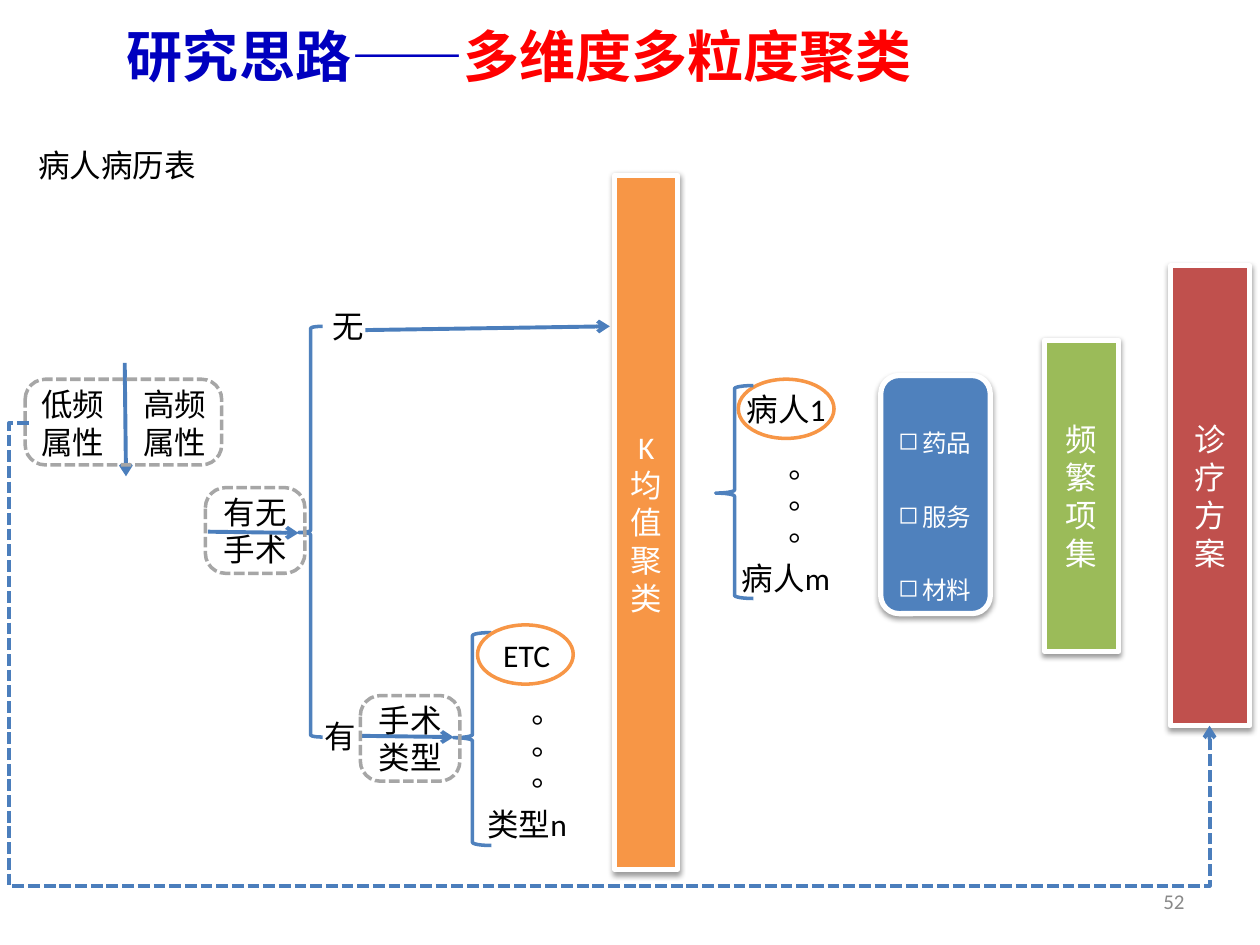
from pptx import Presentation
from pptx.dml.color import RGBColor
from pptx.enum.dml import MSO_LINE
from pptx.enum.shapes import MSO_CONNECTOR, MSO_SHAPE
from pptx.enum.text import MSO_ANCHOR, PP_ALIGN
from pptx.oxml import parse_xml
from pptx.oxml.ns import nsdecls, qn
from pptx.util import Emu, Pt

PX = 9144  # 100 px to the inch
COLORS = {
    "navy": "0000BF", "red": "FF0000", "black": "000000", "white": "FFFFFF",
    "number": "898989", "dash": "A6A6A6", "arrow": "4B7EBC", "blue": "4F81BD",
    "orange": "F79646", "green": "9BBB59", "brick": "C0504D",
}
LEFT, CENTER, RIGHT = PP_ALIGN.LEFT, PP_ALIGN.CENTER, PP_ALIGN.RIGHT
SHADOW = (
    '<a:outerShdw %s blurRad="39370" dist="20320" dir="5400000" rotWithShape="0">'
    '<a:srgbClr val="000000"><a:alpha val="38000"/></a:srgbClr></a:outerShdw>'
)


def rgb(name):
    return RGBColor.from_string(COLORS[name])


def px(*lengths):
    return [Emu(n * PX) for n in lengths]


def xml(tag, attrs=""):
    return parse_xml(f"<a:{tag} {nsdecls('a')} {attrs}/>")


class Board:
    font = "Calibri"
    east_asian = "Noto Sans CJK SC"

    def __init__(self, slide):
        self.s = slide

    def style_run(self, r, size, color, font=None, bold=False):
        r.font.size, r.font.name, r.font.bold = Pt(size), font or self.font, bold
        r.font.color.rgb = rgb(color)
        r._r.get_or_add_rPr().find(qn("a:latin")).addnext(
            xml("ea", f'typeface="{self.east_asian}"'))

    def set_text(self, tf, text, size=18, color="black", align=CENTER,
                 anchor=MSO_ANCHOR.MIDDLE):
        tf.word_wrap = True
        tf.vertical_anchor = anchor
        tf.text = text
        for p in tf.paragraphs:
            p.alignment = align
            for r in p.runs:
                self.style_run(r, size, color)

    def label(self, box, text, align=CENTER, anchor=MSO_ANCHOR.TOP, size=18,
              color="black", vertical=False):
        sp = self.s.shapes.add_textbox(*px(*box))
        self.set_text(sp.text_frame, text, size, color, align, anchor)
        if vertical:
            sp.text_frame._txBody.bodyPr.set("vert", "eaVert")

    def title(self, box, parts):
        sp = self.s.shapes.add_textbox(*px(*box))
        tf = sp.text_frame
        tf.word_wrap = True
        tf.vertical_anchor = MSO_ANCHOR.MIDDLE
        for text, color in parts:
            r = tf.paragraphs[0].add_run()
            r.text = text
            self.style_run(r, 32, color, self.east_asian, True)

    def shape(self, kind, box, line, width=2, fill=None, adj=()):
        sp = self.s.shapes.add_shape(kind, *px(*box))
        sp.shadow.inherit = False
        for i, value in enumerate(adj):
            sp.adjustments[i] = value
        if fill:
            sp.fill.solid()
            sp.fill.fore_color.rgb = rgb(fill)
        else:
            sp.fill.background()
        sp.line.color.rgb = rgb(line)
        sp.line.width = Pt(width)
        return sp

    def panel(self, box, text, fill, size=18, kind=MSO_SHAPE.RECTANGLE, align=CENTER):
        sp = self.shape(kind, box, "white", 3, fill)
        effects = sp._element.spPr.find(qn("a:effectLst"))
        effects.append(parse_xml(SHADOW % nsdecls("a")))
        self.set_text(sp.text_frame, text, size, "white", align)
        return sp

    def bullet_panel(self, box, items, fill):
        sp = self.panel(box, "\n".join(items), fill, 14,
                        MSO_SHAPE.FLOWCHART_ALTERNATE_PROCESS, LEFT)
        for p in sp.text_frame.paragraphs:
            pPr = p._p.get_or_add_pPr()
            pPr.set("marL", str(19 * PX))
            pPr.set("indent", str(-19 * PX))
            pPr.append(xml("buChar", 'char="◻"'))
            p.line_spacing = 2.5

    def dashed_box(self, box, text=""):
        sp = self.shape(MSO_SHAPE.ROUNDED_RECTANGLE, box, "dash", adj=[0.234])
        sp.line.dash_style = MSO_LINE.SQUARE_DOT
        if text:
            self.set_text(sp.text_frame, text)

    def brace(self, box, middle):
        self.shape(MSO_SHAPE.LEFT_BRACE, box, "blue", adj=[0.083, middle])

    def ring(self, box):
        self.shape(MSO_SHAPE.OVAL, box, "orange")

    def arrow(self, *ends, kind=MSO_CONNECTOR.STRAIGHT, dashed=False):
        cxn = self.s.shapes.add_connector(kind, *px(*ends))
        cxn.line.color.rgb = rgb("arrow")
        cxn.line.width = Pt(2.25)
        if dashed:
            cxn.line.dash_style = MSO_LINE.SQUARE_DOT
        spPr = cxn._element.spPr
        spPr.find(qn("a:ln")).append(xml("tailEnd", 'type="arrow"'))
        spPr.append(xml("effectLst"))
        return cxn

    def detour(self, *ends, adj):
        """Dashed elbow arrow with three bends."""
        cxn = self.arrow(*ends, kind=MSO_CONNECTOR.ELBOW, dashed=True)
        geom = cxn._element.spPr.find(qn("a:prstGeom"))
        geom.set("prst", "bentConnector4")
        guides = geom.get_or_add_avLst()
        for i, value in enumerate(adj, 1):
            guides.append(xml("gd", f'name="adj{i}" fmla="val {round(value * 100000)}"'))


def main():
    prs = Presentation()
    prs.slide_width, prs.slide_height = px(1000, 750)
    b = Board(prs.slides.add_slide(prs.slide_layouts[6]))

    # Title and page number
    b.title((91, 0, 900, 87), [("研究思路——", "navy"), ("多维度多粒度聚类", "red")])
    b.label((717, 695, 233, 40), "52", RIGHT, MSO_ANCHOR.MIDDLE, 12, "number")

    # Record table split into low and high frequency attributes
    b.label((15, 111, 156, 40), "病人病历表")
    b.arrow(99, 288, 100, 378)
    for x, name in ((23, "低频"), (104, "高频")):
        b.label((x, 301, 79, 71), f"{name}\n属性", LEFT)
    b.dashed_box((20, 301, 156, 68))

    # With or without surgery
    b.brace((237, 259, 19, 326), 0.502)
    b.label((254, 239, 35, 40), "无", RIGHT)
    b.label((248, 564, 37, 40), "有", RIGHT)
    b.arrow(165, 422, 237, 423)
    b.dashed_box((163, 387, 79, 68), "有无手术")

    # Surgery types
    b.brace((360, 502, 30, 169), 0.494)
    b.arrow(285, 584, 360, 585)
    b.dashed_box((286, 552, 79, 68), "手术\n类型")
    b.label((375, 500, 86, 40), "ETC")
    b.label((388, 557, 50, 90), "。。。", LEFT, vertical=True)
    b.label((375, 634, 87, 40), "类型n")
    b.ring((379, 496, 76, 47))

    # Clustering
    b.panel((488, 139, 50, 551), "K均值聚类", "orange")
    b.arrow(290, 262, 484, 259)

    # Patient groups
    b.label((581, 305, 86, 40), "病人1")
    b.label((592, 362, 50, 90), "。。。", LEFT, vertical=True)
    b.label((579, 439, 96, 40), "病人m", LEFT)
    b.ring((586, 301, 76, 47))
    b.brace((568, 306, 30, 169), 0.505)

    # Items, frequent sets and treatment plan
    b.bullet_panel((699, 298, 87, 189), ["药品", "服务", "材料"], "blue")
    b.panel((829, 270, 59, 247), "\n".join("频繁项集"), "green")
    b.panel((929, 211, 63, 365), "诊疗方案", "brick")

    # Low frequency attributes go straight to the plan
    b.detour(23, 336, 960, 576, adj=(-0.017, 1.529))

    prs.save("out.pptx")


if __name__ == "__main__":
    main()
